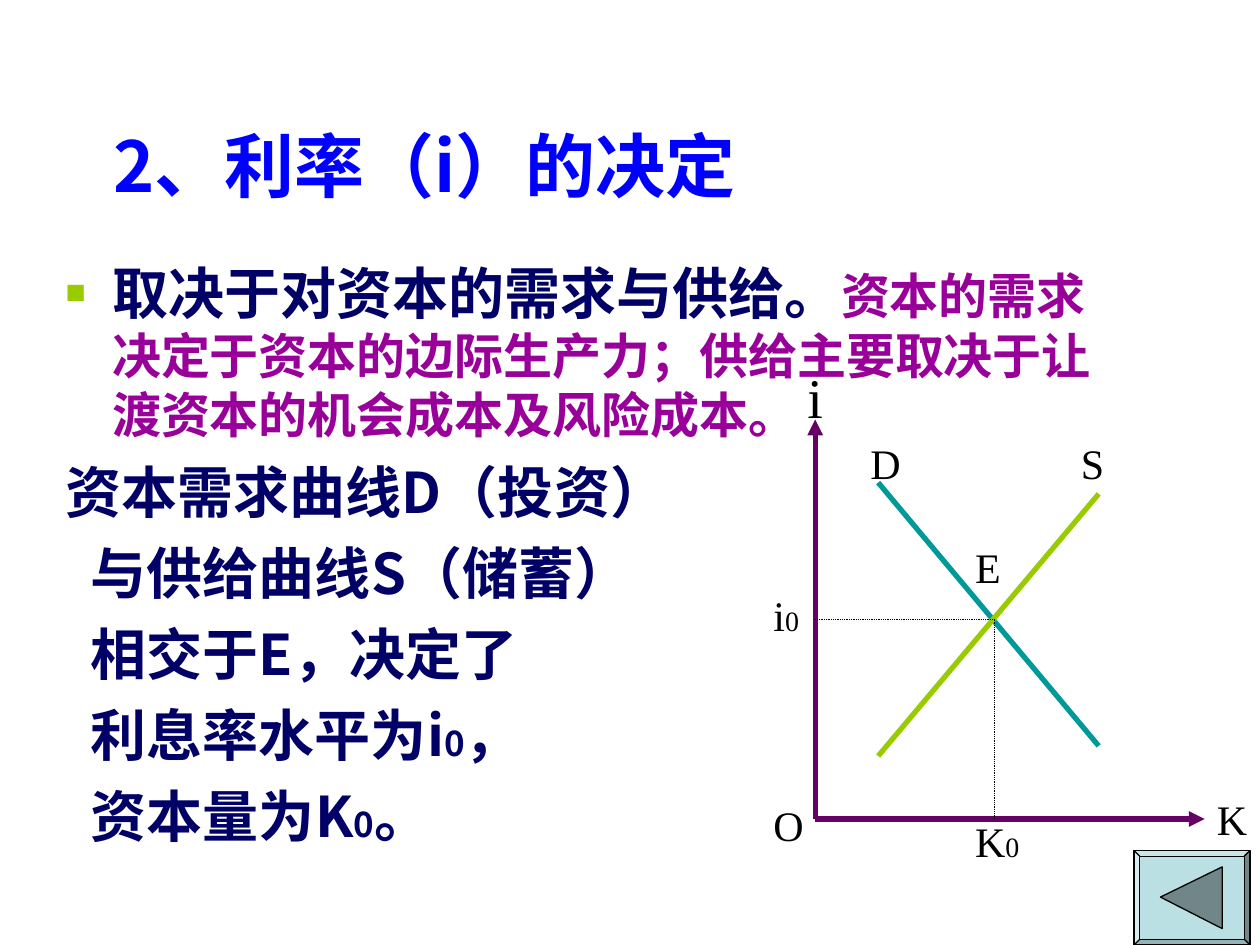
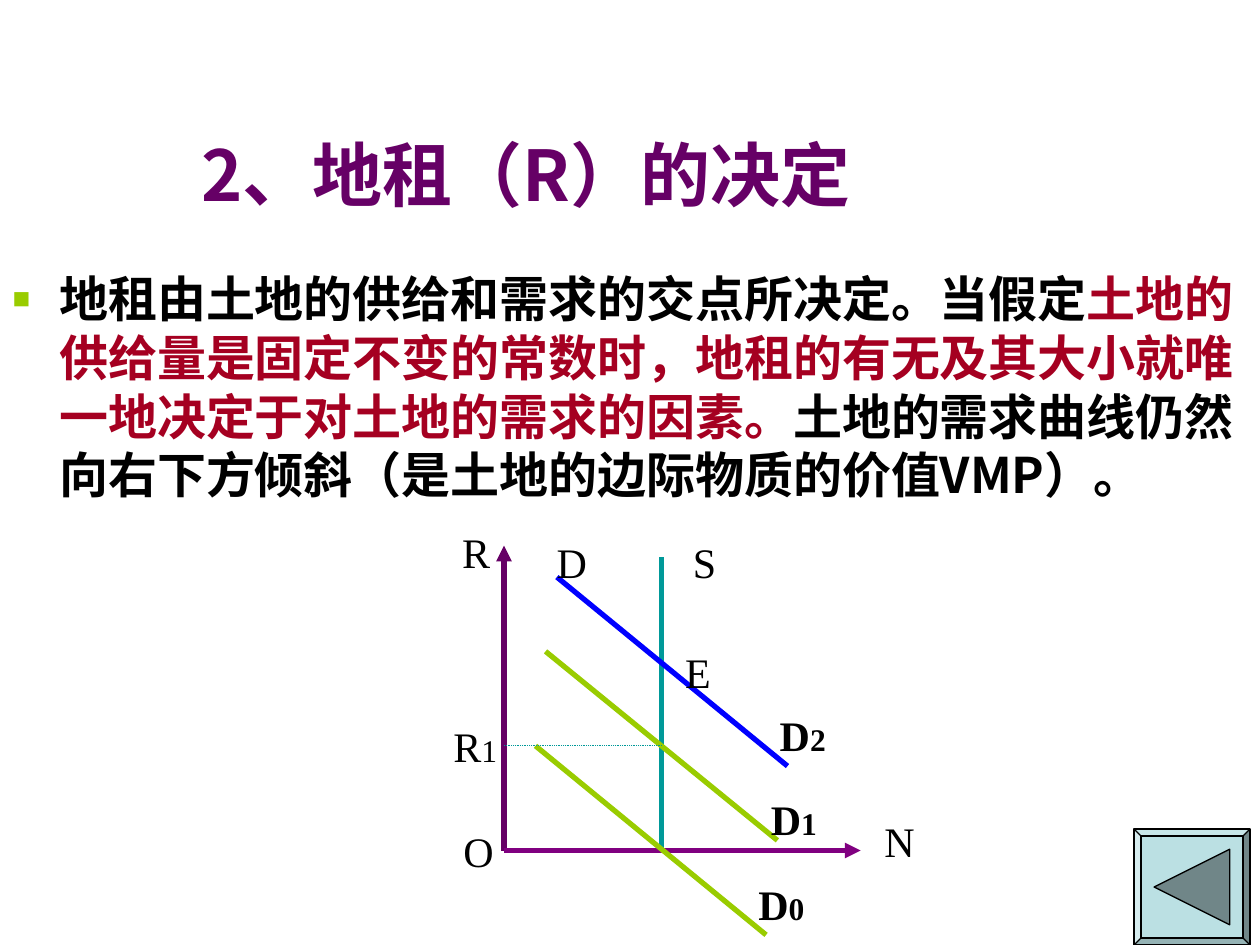
"""Builds two slides on how the interest rate and land rent are determined."""
from lxml import etree
from pptx import Presentation
from pptx.dml.color import RGBColor
from pptx.enum.dml import MSO_LINE
from pptx.enum.shapes import MSO_CONNECTOR, MSO_SHAPE
from pptx.enum.text import MSO_ANCHOR, MSO_AUTO_SIZE, PP_ALIGN
from pptx.oxml.ns import qn
from pptx.util import Inches, Pt

STRAIGHT = MSO_CONNECTOR.STRAIGHT
BEVEL = MSO_SHAPE.BEVEL
DOTTED = MSO_LINE.ROUND_DOT
LEFT = PP_ALIGN.LEFT
MIDDLE, TOP = MSO_ANCHOR.MIDDLE, MSO_ANCHOR.TOP
NO_AUTOFIT = MSO_AUTO_SIZE.NONE

HEADING_FONT = "Noto Sans CJK SC"
LABEL_FONT = "Times New Roman"
BLACK, NAVY, PURPLE, VIOLET = "000000", "000066", "660066", "990099"
BLUE, TEAL, LIME, CRIMSON = "0000FF", "009999", "99CC00", "A50021"
BUTTON_FILL, ARROW_FILL = "BBE0E3", "708688"
HANGING = 0.37


def rgb(value):
    """Return the colour for a hex string."""
    return RGBColor.from_string(value)


def write_runs(paragraph, runs, font_name, bold):
    """Add (text, size, colour) runs to a paragraph."""
    for text, size, color in runs:
        run = paragraph.add_run()
        run.text = text
        formats = {"name": font_name, "size": Pt(size), "bold": bold}
        for attribute, value in formats.items():
            setattr(run.font, attribute, value)
        run.font.color.rgb = rgb(color)
        east_asian = etree.SubElement(run.font._element, qn("a:ea"))
        east_asian.set("typeface", font_name)


slides = [
    {
        "title": ("2、利率（i）的决定", BLUE, 0.55, (0.25, 0.68, 8.33, 1.25)),
        "body_box": (0.42, 2, 8.5, 4.5),
        "paragraphs": [
            ("bullet", [
                ("取决于对资本的需求与供给。", 32, NAVY),
                ("资本的需求决定于资本的边际生产力；供给主要取决于让渡资本的机会成本及风险成本。", 28, VIOLET)]),
            ("plain", [("资本需求曲线D（投资）", 32, NAVY)]),
            ("indented", [("与供给曲线S（储蓄）", 32, NAVY)]),
            ("indented", [("相交于E，决定了", 32, NAVY)]),
            ("indented", [("利息率水平为i", 32, NAVY), ("0", 20, NAVY), ("，", 32, NAVY)]),
            ("indented", [("资本量为K", 32, NAVY), ("0", 20, NAVY), ("。", 32, NAVY)]),
        ],
        "axes": [(6.47, 6.5, 6.47, 3.33, PURPLE), (6.47, 6.5, 9.56, 6.5, PURPLE)],
        "curves": [(6.97, 3.83, 8.72, 5.92, TEAL), (6.97, 6, 8.72, 3.92, LIME)],
        "guides": [(6.47, 4.92, 7.89, 4.92, BLACK), (7.89, 4.92, 7.89, 6.5, BLACK)],
        "labels": [
            ("i", "", 6.31, 2.83, 0.32, 32, False),
            ("O", "", 6.04, 6.3, 0.44, 24, False),
            ("K", "", 9.56, 6.25, 0.44, 24, False),
            ("D", "", 6.81, 3.42, 0.44, 24, False),
            ("S", "", 8.48, 3.42, 0.38, 24, False),
            ("E", "", 7.64, 4.25, 0.4, 24, False),
            ("i", "0", 6.04, 4.63, 0.4, 24, False),
            ("K", "0", 7.64, 6.42, 0.55, 24, False),
        ],
        "subscript_size": 16,
        "button_height": 0.75,
        "arrow": [(9.21, 7.12), (9.7, 6.88), (9.7, 7.37)],
    },
    {
        "title": ("2、地租（R）的决定", PURPLE, 0.5, (1, 0.75, 8.33, 1.25)),
        "body_box": (0, 2.08, 10, 2.17),
        "paragraphs": [
            ("bullet", [
                ("地租由土地的供给和需求的交点所决定。当假定", 28, BLACK),
                ("土地的供给量是固定不变的常数时，地租的有无及其大小就唯一地决定于对土地的需求的因素。", 28, CRIMSON),
                ("土地的需求曲线仍然向右下方倾斜（是土地的边际物质的价值VMP）。", 28, BLACK)]),
        ],
        "axes": [(4, 6.75, 4, 4.33, PURPLE), (4, 6.75, 6.83, 6.75, "800080")],
        "curves": [
            (5.25, 6.75, 5.25, 4.42, TEAL),
            (4.42, 4.58, 6.25, 6.08, BLUE),
            (4.25, 5.92, 6.08, 7.42, LIME),
            (4.33, 5.17, 6.17, 6.67, LIME),
        ],
        "guides": [(4, 5.92, 5.25, 5.92, TEAL)],
        "labels": [
            ("R", "", 3.57, 4.13, 0.42, 24, False),
            ("N", "", 6.92, 6.42, 0.44, 24, False),
            ("O", "", 3.58, 6.5, 0.44, 24, False),
            ("S", "", 5.4, 4.21, 0.38, 24, False),
            ("D", "", 4.32, 4.21, 0.44, 24, False),
            ("E", "", 5.34, 5.08, 0.4, 24, False),
            ("R", "1", 3.5, 5.67, 0.55, 24, False),
            ("D", "0", 5.92, 6.92, 0.6, 24, True),
            ("D", "1", 6.02, 6.25, 0.6, 24, True),
            ("D", "2", 6.09, 5.58, 0.6, 24, True),
        ],
        "subscript_size": 18,
        "button_height": 0.92,
        "arrow": [(9.16, 7.04), (9.76, 6.74), (9.76, 7.34)],
    },
]
margins = {"bullet": (HANGING, -HANGING), "plain": (HANGING, -HANGING), "indented": (0.2, 0)}

presentation = Presentation()
presentation.slide_width = Inches(10)
presentation.slide_height = Inches(7.5)

for content in slides:
    slide = presentation.slides.add_slide(presentation.slide_layouts[1])
    title, body = slide.shapes.title, slide.placeholders[1]
    title_text, title_color, title_indent, title_box = content["title"]
    for placeholder, box, anchor in [(title, title_box, MIDDLE), (body, content["body_box"], TOP)]:
        for attribute, length in zip(("left", "top", "width", "height"), box):
            setattr(placeholder, attribute, Inches(length))
        frame_formats = {"word_wrap": True, "auto_size": NO_AUTOFIT, "vertical_anchor": anchor}
        for attribute, value in frame_formats.items():
            setattr(placeholder.text_frame, attribute, value)

    paragraph = title.text_frame.paragraphs[0]
    paragraph.alignment = LEFT
    paragraph._p.get_or_add_pPr().set("marL", str(Inches(title_indent)))
    write_runs(paragraph, [(title_text, 40, title_color)], HEADING_FONT, True)

    for index, (style, runs) in enumerate(content["paragraphs"]):
        frame = body.text_frame
        paragraph = frame.add_paragraph() if index else frame.paragraphs[0]
        paragraph.line_spacing = 1.0
        paragraph.space_before = Pt(8 if index else 0)
        properties = paragraph._p.get_or_add_pPr()
        for attribute, length in zip(("marL", "indent"), margins[style]):
            properties.set(attribute, str(Inches(length)))
        if style == "bullet":
            bullet_color = etree.SubElement(properties, qn("a:buClr"))
            etree.SubElement(bullet_color, qn("a:srgbClr")).set("val", LIME)
            etree.SubElement(properties, qn("a:buSzPct")).set("val", "60000")
            etree.SubElement(properties, qn("a:buChar")).set("char", "■")
        else:
            etree.SubElement(properties, qn("a:buNone"))
        write_runs(paragraph, runs, HEADING_FONT, True)

    for group, width in [("axes", 3), ("curves", 3), ("guides", 0.5)]:
        for *ends, color in content[group]:
            connector = slide.shapes.add_connector(STRAIGHT, *map(Inches, ends))
            connector.line.color.rgb = rgb(color)
            connector.line.width = Pt(width)
            if group == "guides":
                connector.line.dash_style = DOTTED
            if group == "axes":
                line = connector.line._get_or_add_ln()
                etree.SubElement(line, qn("a:tailEnd")).set("type", "triangle")
            etree.SubElement(connector._element.spPr, qn("a:effectLst"))

    for letter, subscript, left, top, width, size, bold in content["labels"]:
        height = 0.64 if size == 32 else 0.5
        label = slide.shapes.add_textbox(*map(Inches, (left, top, width, height)))
        label.text_frame.word_wrap = False
        runs = [(letter, size, BLACK)]
        if subscript:
            runs.append((subscript, content["subscript_size"], BLACK))
        write_runs(label.text_frame.paragraphs[0], runs, LABEL_FONT, bold)

    height = content["button_height"]
    button = slide.shapes.add_shape(BEVEL, *map(Inches, (9, 7.5 - height, 0.92, height)))
    button.adjustments[0] = 0.06
    first, *others = [tuple(map(Inches, point)) for point in content["arrow"]]
    builder = slide.shapes.build_freeform(*first)
    builder.add_line_segments(others, close=True)
    arrow = builder.convert_to_shape()
    for shape, color in [(button, BUTTON_FILL), (arrow, ARROW_FILL)]:
        shape.shadow.inherit = False
        shape.fill.solid()
        shape.fill.fore_color.rgb = rgb(color)
        shape.line.color.rgb = rgb(BLACK)
        shape.line.width = Pt(0.75)

presentation.save("out.pptx")
